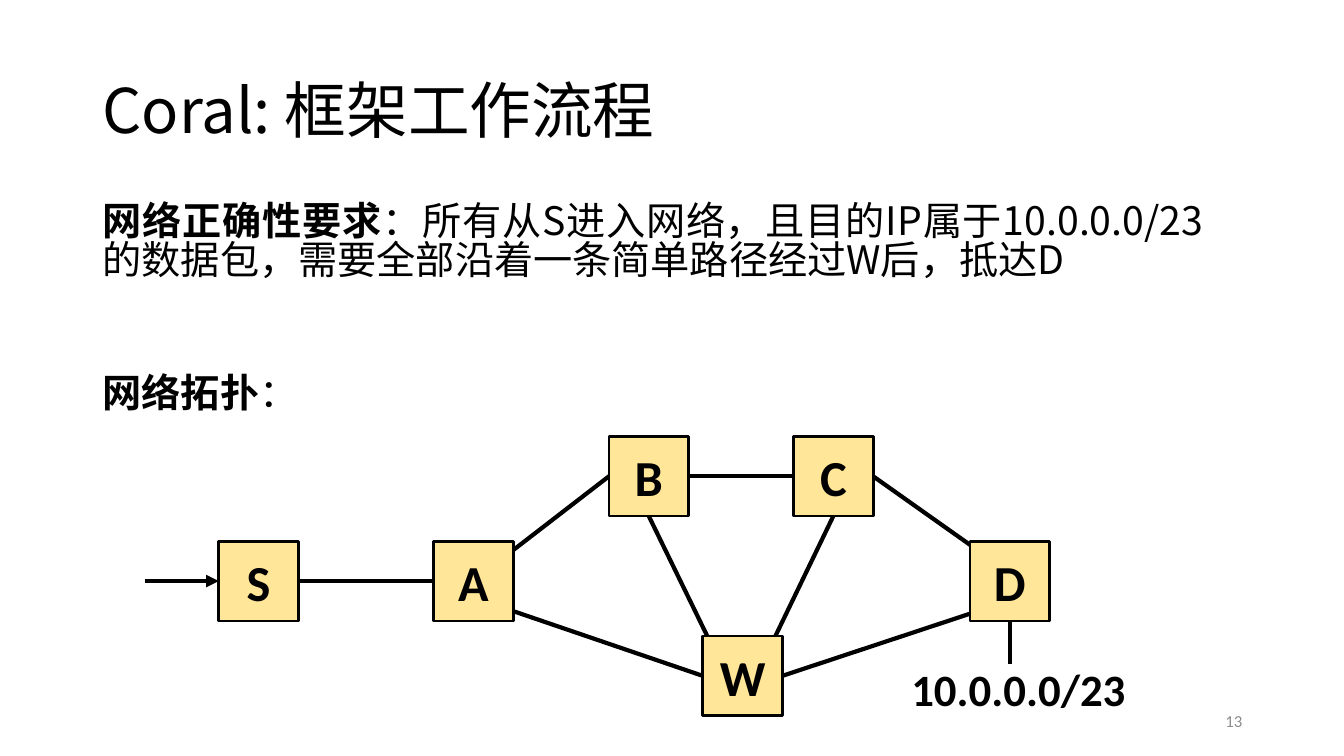
from dataclasses import dataclass

from lxml import etree
from pptx import Presentation
from pptx import util as u
from pptx.dml import color
from pptx.enum import shapes, text
from pptx.oxml import ns


@dataclass(frozen=True)
class Theme:
    ink: str = "000000"
    muted: str = "8C8C8C"
    node_fill: str = "FFE699"
    chinese: str = "Noto Sans CJK SC"
    latin: str = "Calibri"
    title: int = 44
    body: int = 28
    node: int = 36
    prefix: int = 32
    page: int = 12
    link_width: int = 3
    node_border: int = 2


THEME = Theme()
CELL = u.Inches(0.1)
NODE = 7.9
UPPER, MIDDLE, LOWER = 43.3, 53.7, 63.1
NODES = {
    "S": (21.7, MIDDLE),
    "A": (43, MIDDLE),
    "B": (60.4, UPPER),
    "C": (78.7, UPPER),
    "D": (96.2, MIDDLE),
    "W": (69.7, LOWER),
}
TOP, LEFT, BOTTOM, RIGHT = (0.5, 0), (0, 0.5), (0.5, 1), (1, 0.5)
SITES = [TOP, LEFT, BOTTOM, RIGHT]
LINKS = [
    (("S", RIGHT), ("A", LEFT)),
    (("A", (0.95, 0.15)), ("B", LEFT)),
    (("B", RIGHT), ("C", LEFT)),
    (("A", (0.95, 0.86)), ("W", LEFT)),
    (("W", RIGHT), ("D", (0.15, 0.86))),
    (("C", RIGHT), ("D", (0.15, 0.15))),
    (("W", (0.13, 0.15)), ("B", BOTTOM)),
    (("W", (0.84, 0.15)), ("C", BOTTOM)),
    ((None, (14.4, 57.65)), ("S", LEFT)),
    (("D", BOTTOM), (None, (100.15, 65.9))),
]


def cells(*counts):
    return [round(count * CELL) for count in counts]


def rgb(value):
    return color.RGBColor.from_string(value)


def apply(target, values):
    for name, value in values.items():
        setattr(target, name, value)


def write(paragraph, words, size, font, bold=False, ink=THEME.ink):
    run = paragraph.add_run()
    run.text = words
    apply(run.font, {"size": u.Pt(size), "name": font, "bold": bold})
    run.font.color.rgb = rgb(ink)
    east_asian = etree.SubElement(run.font._element, ns.qn("a:ea"))
    east_asian.set("typeface", font)


def add_text(slide, place, runs, frame=None, paragraph=None):
    box = slide.shapes.add_textbox(*cells(*place))
    apply(box.text_frame, {"word_wrap": True, **(frame or {})})
    line = box.text_frame.paragraphs[0]
    apply(line, paragraph or {})
    for words, style in runs:
        write(line, words, **style)


def end_point(end):
    node, (x, y) = end
    if node is None:
        return cells(x, y)
    left, top = NODES[node]
    return cells(left + x * NODE, top + y * NODE)


def add_link(slide, start, end):
    link = slide.shapes.add_connector(
        shapes.MSO_CONNECTOR.STRAIGHT, *end_point(start), *end_point(end))
    link.line.width = u.Pt(THEME.link_width)
    link.line.color.rgb = rgb(THEME.ink)
    if start[0] is None:
        arrow = etree.SubElement(link.line._get_or_add_ln(), ns.qn("a:tailEnd"))
        arrow.set("type", "triangle")
    etree.SubElement(link._element.spPr, ns.qn("a:effectLst"))
    return link


def add_node(slide, name, left, top):
    node = slide.shapes.add_shape(
        shapes.MSO_SHAPE.RECTANGLE, *cells(left, top, NODE, NODE))
    node.shadow.inherit = False
    node.fill.solid()
    node.fill.fore_color.rgb = rgb(THEME.node_fill)
    node.line.color.rgb = rgb(THEME.ink)
    node.line.width = u.Pt(THEME.node_border)
    node.text_frame.vertical_anchor = text.MSO_ANCHOR.MIDDLE
    label = node.text_frame.paragraphs[0]
    label.alignment = text.PP_ALIGN.CENTER
    write(label, name, THEME.node, THEME.latin, bold=True)
    return node


def add_topology(slide):
    links = [add_link(slide, start, end) for start, end in LINKS]
    nodes = {name: add_node(slide, name, *place) for name, place in NODES.items()}
    for link, ends in zip(links, LINKS):
        for join, (name, side) in zip((link.begin_connect, link.end_connect), ends):
            if name and side in SITES:
                join(nodes[name], SITES.index(side))


def main():
    deck = Presentation()
    deck.slide_width, deck.slide_height = u.Inches(13.33), u.Inches(7.5)
    slide = deck.slides.add_slide(deck.slide_layouts[6])

    title = {"size": THEME.title, "font": THEME.chinese}
    body = {"size": THEME.body, "font": THEME.chinese}
    strong = {**body, "bold": True}
    prefix = {"size": THEME.prefix, "font": THEME.latin, "bold": True}
    page = {"size": THEME.page, "font": THEME.latin, "ink": THEME.muted}
    middle = {"vertical_anchor": text.MSO_ANCHOR.MIDDLE}
    grow = {"auto_size": text.MSO_AUTO_SIZE.SHAPE_TO_FIT_TEXT}
    lowered = {**grow, "margin_top": u.Inches(0.1)}
    tight = {"line_spacing": 0.84}

    add_text(slide, (9.2, 4, 115, 14.5), [("Coral: 框架工作流程", title)],
             middle, {"line_spacing": 0.9})
    add_text(slide, (94.2, 69.5, 30, 4), [("13", page)],
             middle, {"alignment": text.PP_ALIGN.RIGHT})
    add_text(slide, (9.2, 19.2, 111.1, 10.4),
             [("网络正确性要求", strong),
              ("：所有从S进入网络，且目的IP属于10.0.0.0/23的数据包，"
               "需要全部沿着一条简单路径经过W后，抵达D", body)],
             lowered, {**tight, "alignment": text.PP_ALIGN.JUSTIFY})
    add_text(slide, (9.2, 36.3, 21.7, 5.7), [("网络拓扑", strong), ("：", body)],
             {**lowered, "word_wrap": False}, tight)
    add_text(slide, (89.4, 65.2, 23.5, 6.4), [("10.0.0.0/23", prefix)],
             {**grow, "word_wrap": False})
    add_topology(slide)
    deck.save("out.pptx")


if __name__ == "__main__":
    main()
